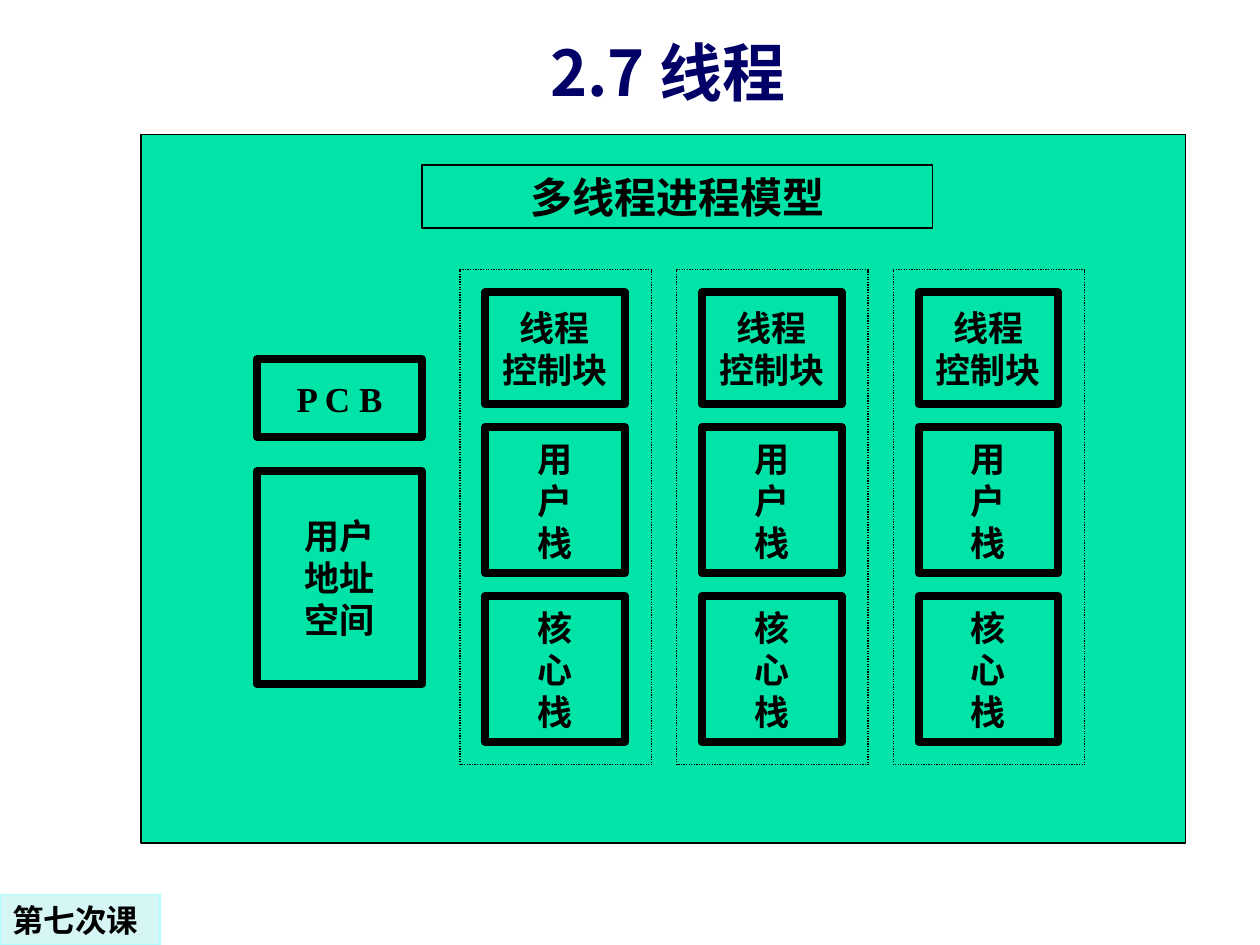
from lxml.etree import SubElement
from pptx import Presentation
from pptx.dml.color import RGBColor
from pptx.enum.dml import MSO_LINE
from pptx.enum.shapes import MSO_SHAPE
from pptx.enum.text import MSO_ANCHOR, PP_ALIGN
from pptx.oxml.ns import qn
from pptx.util import Inches, Pt

GREEN = RGBColor(0x00, 0xE4, 0xA8)
BLACK = RGBColor(0x00, 0x00, 0x00)
NAVY = RGBColor(0x00, 0x00, 0x66)
PALE_CYAN = RGBColor(0xD6, 0xF5, 0xF5)
CYAN = RGBColor(0xAD, 0xFF, 0xFF)
CJK_FONT = "Noto Sans CJK SC"
THIN, THICK = 0.75, 4.5

TITLE = "2.7 线程"
HEADING = "多线程进程模型"
LESSON = "第七次课"
# lines of text, top, height
PROCESS_BLOCKS = [
    (["P C B"], 2.85, 0.62),
    (["用户", "地址", "空间"], 3.74, 1.69),
]
THREAD_BLOCKS = [
    (["线程", "控制块"], 2.32, 0.89),
    (["用", "户", "栈"], 3.39, 1.16),
    (["核", "心", "栈"], 4.73, 1.16),
]
THREAD_COUNT = 3
THREAD_LEFT, THREAD_PITCH, THREAD_WIDTH = 3.65, 1.72, 1.52
BLOCK_INSET, BLOCK_WIDTH = 0.2, 1.11

BLOCK_TEXT = {"name": "Times New Roman", "size": Pt(20), "bold": True}
HEADING_TEXT = {**BLOCK_TEXT, "size": Pt(24)}
LESSON_TEXT = {"name": "DejaVu Sans", "size": Pt(18), "bold": True}
TITLE_TEXT = {"name": CJK_FONT, "size": Pt(36), "bold": True}


def write(frame, lines, text_format, color=BLACK, align=PP_ALIGN.CENTER,
          anchor=MSO_ANCHOR.MIDDLE, wrap=True):
    frame.word_wrap = wrap
    frame.vertical_anchor = anchor
    for index, line in enumerate(lines):
        paragraph = frame.paragraphs[0] if index == 0 else frame.add_paragraph()
        paragraph.alignment = align
        run = paragraph.add_run()
        run.text = line
        for attribute, value in text_format.items():
            setattr(run.font, attribute, value)
        run.font.color.rgb = color
        SubElement(run._r.get_or_add_rPr(), qn("a:ea"), typeface=CJK_FONT)


def add_box(shapes, at, weight=THIN, fill=GREEN, line=BLACK):
    box = shapes.add_shape(MSO_SHAPE.RECTANGLE, *map(Inches, at))
    box.shadow.inherit = False
    box.fill.solid()
    box.fill.fore_color.rgb = fill
    box.line.color.rgb = line
    box.line.width = Pt(weight)
    return box


def add_blocks(shapes, blocks, left, width):
    for lines, top, height in blocks:
        block = add_box(shapes, (left, top, width, height), THICK)
        write(block.text_frame, lines, BLOCK_TEXT, wrap=False)


def main():
    presentation = Presentation()
    presentation.slide_width, presentation.slide_height = Inches(10), Inches(7.5)
    slide = presentation.slides.add_slide(presentation.slide_layouts[5])

    title = slide.shapes.title
    title.left, title.top, title.width, title.height = map(
        Inches, (1.3, 0.1, 8, 0.82))
    write(title.text_frame, [TITLE], TITLE_TEXT, NAVY, anchor=MSO_ANCHOR.BOTTOM)

    model = slide.shapes.add_group_shape().shapes
    add_box(model, (1.12, 1.07, 8.29, 5.62))
    heading = add_box(model, (3.35, 1.31, 4.05, 0.5))
    write(heading.text_frame, [HEADING], HEADING_TEXT)
    add_blocks(model, PROCESS_BLOCKS, 2.04, 1.31)

    for index in range(THREAD_COUNT):
        left = THREAD_LEFT + index * THREAD_PITCH
        thread = add_box(model, (left, 2.14, THREAD_WIDTH, 3.93))
        thread.line.dash_style = MSO_LINE.ROUND_DOT
        add_blocks(model, THREAD_BLOCKS, left + BLOCK_INSET, BLOCK_WIDTH)

    lesson = add_box(slide.shapes, (0, 7.1, 1.27, 0.4), fill=PALE_CYAN, line=CYAN)
    write(lesson.text_frame, [LESSON], LESSON_TEXT, align=PP_ALIGN.LEFT)

    presentation.save("out.pptx")


if __name__ == "__main__":
    main()
